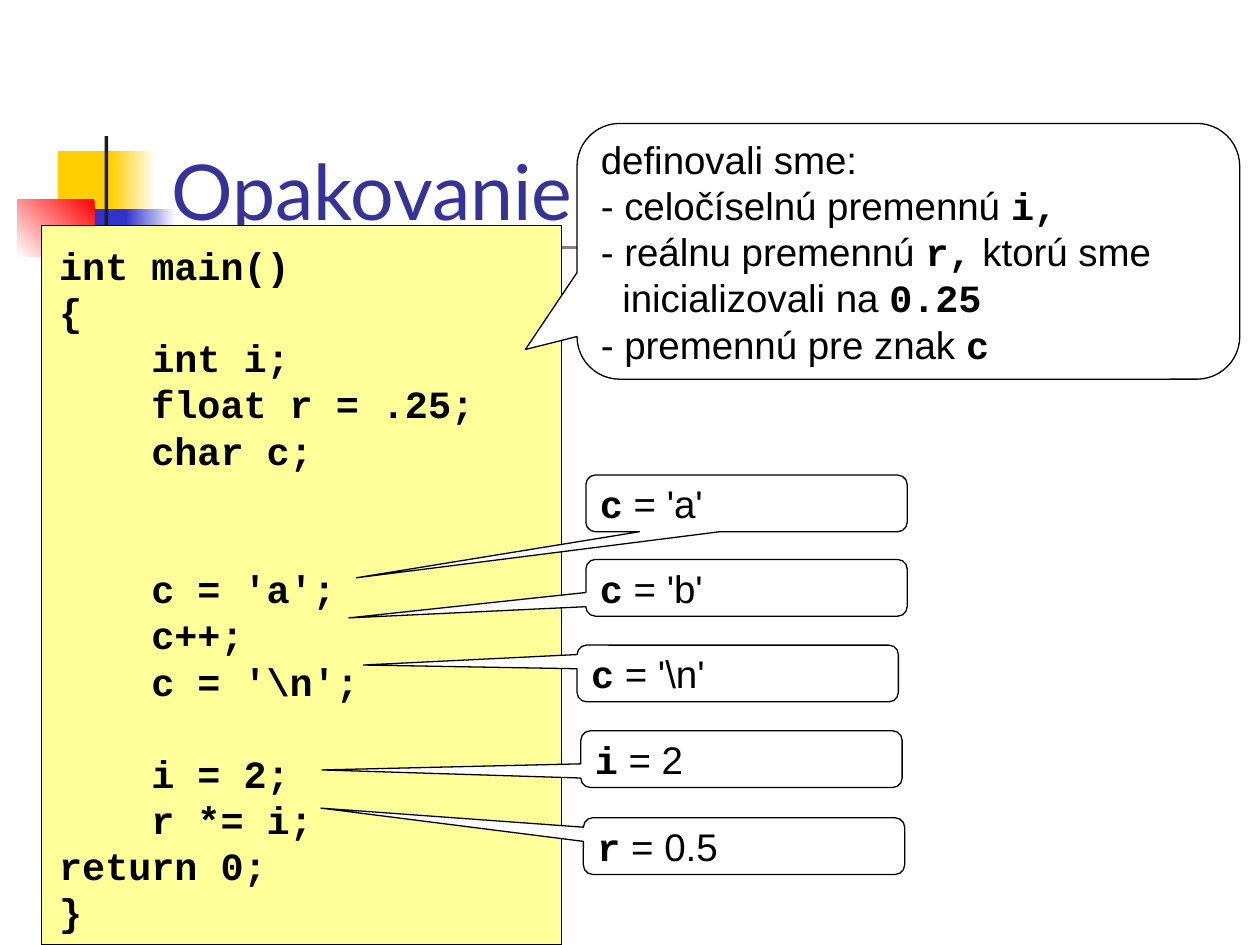
from pptx import Presentation, util as u
from pptx.dml.color import RGBColor
from pptx.enum import shapes, text

deck = Presentation()
deck.slide_width, deck.slide_height = u.Inches(10), u.Inches(7.5)
slide = deck.slides.add_slide(deck.slide_layouts[5])
LINE_PITCH = 26.4
INK, WHITE = "000000", "FFFFFF"


def colour(value):
    return RGBColor.from_string(value)


def write_lines(frame, lines):
    """Each line is (gap in lines, left indent in inches, runs); a run is (words, is code)."""
    frame.word_wrap = True
    frame.margin_left = frame.margin_right = u.Inches(0.09)
    frame.margin_top = frame.margin_bottom = u.Inches(0.05)
    for number, (gap, indent, runs) in enumerate(lines):
        line = frame.paragraphs[0] if number == 0 else frame.add_paragraph()
        line.alignment = text.PP_ALIGN.LEFT
        line.line_spacing = u.Pt(LINE_PITCH)
        if gap:
            line.space_before = u.Pt(gap * LINE_PITCH)
        if indent:
            line._p.get_or_add_pPr().set("marL", str(u.Inches(indent)))
        for words, is_code in runs:
            run = line.add_run()
            run.text = words
            run.font.size = u.Pt(22)
            run.font.name = "Courier New" if is_code else "Arial"
            run.font.bold = is_code
            run.font.color.rgb = colour(INK)


# Corner ornament and title rule: place, start colour, end colour, angle
ornament = [
    ((0.46, 1.2, 0.48, 0.52), "FFCF01", None, None),
    ((0.88, 1.2, 0.36, 0.52), WHITE, "FFCF01", 180),
    ((0.59, 1.66, 0.46, 0.52), "3333CC", None, None),
    ((1, 1.66, 0.4, 0.52), WHITE, "3333CC", 180),
    ((0.14, 1.58, 0.61, 0.46), "FF0000", WHITE, 225),
    ((0.83, 1.08, 0.03, 1.15), "1C1C1C", None, None),
    ((0.48, 1.95, 9, 0.03), WHITE, "1C1C1C", 180),
]
for place, start, end, angle in ornament:
    block = slide.shapes.add_shape(shapes.MSO_SHAPE.RECTANGLE, *map(u.Inches, place))
    block.shadow.inherit = False
    block.line.fill.background()
    if end:
        block.fill.gradient()
        block.fill.gradient_angle = angle
        for stop, shade in zip(block.fill.gradient_stops, (start, end)):
            stop.color.rgb = colour(shade)
    else:
        block.fill.solid()
        block.fill.fore_color.rgb = colour(start)

# Title, in front of the ornament
title = slide.shapes.title
slide.shapes._spTree.append(title._element)
title.left, title.top, title.width, title.height = map(u.Inches, (1.26, 0.67, 8.52, 1.25))
title.text_frame.vertical_anchor = text.MSO_ANCHOR.BOTTOM
heading = title.text_frame.paragraphs[0]
heading.alignment = text.PP_ALIGN.LEFT
heading_run = heading.add_run()
heading_run.text = "Opakovanie"
heading_run.font.size = u.Pt(44)
heading_run.font.name = "Lato"
heading_run.font.color.rgb = colour("333399")

# Code panel
panel = slide.shapes.add_shape(
    shapes.MSO_SHAPE.RECTANGLE, *map(u.Inches, (0.33, 1.79, 4.13, 5.71)))
panel.shadow.inherit = False
panel.fill.solid()
panel.fill.fore_color.rgb = colour("FFFF99")
panel.line.color.rgb = colour(INK)
panel.line.width = u.Pt(0.75)

# Code: blank lines before each line, then the line itself
code = [
    (0, "int main()"), (0, "{"),
    (0, "    int i;"), (0, "    float r = .25;"), (0, "    char c;"),
    (2, "    c = 'a';"), (0, "    c++;"), (0, "    c = '\\n';"),
    (1, "    i = 2;"), (0, "    r *= i;"),
    (0, "return 0;"), (0, "}"),
]
listing = slide.shapes.add_textbox(*map(u.Inches, (0.38, 1.87, 3.6, 5.59)))
write_lines(listing.text_frame, [(gap, 0, [(words, True)]) for gap, words in code])

# Callouts: place, pointer tip, lines
declarations = [
    (0, 0, [("definovali sme:", False)]),
    (0, 0, [("- celočíselnú premennú ", False), ("i,", True)]),
    (0, 0, [("- reálnu premennú ", False), ("r,", True), (" ktorú sme", False)]),
    (0, 0.17, [("inicializovali na ", False), ("0.25", True)]),
    (0, 0, [("- premennú pre znak ", False), ("c", True)]),
]
callouts = [((4.58, 0.98, 5.26, 2.03), (-0.578, 0.384), declarations)]
states = [
    (4.65, 3.77, (-1.214, 1.312), "c", "'a'"),
    (4.65, 4.44, (-1.238, 0.531), "c", "'b'"),
    (4.58, 5.12, (-1.165, -0.149), "c", "'\\n'"),
    (4.61, 5.8, (-1.306, 0.191), "i", "2"),
    (4.63, 6.49, (-1.317, -0.67), "r", "0.5"),
]
for left, top, tip, variable, value in states:
    state_line = (0, 0, [(variable, True), (f" = {value}", False)])
    callouts.append(((left, top, 2.55, 0.45), tip, [state_line]))

for place, tip, lines in callouts:
    callout = slide.shapes.add_shape(
        shapes.MSO_SHAPE.ROUNDED_RECTANGULAR_CALLOUT, *map(u.Inches, place))
    callout.shadow.inherit = False
    for index, share in enumerate((*tip, 0.167)):
        callout.adjustments[index] = share
    callout.fill.solid()
    callout.fill.fore_color.rgb = colour(WHITE)
    callout.line.color.rgb = colour(INK)
    callout.line.width = u.Pt(0.75)
    callout.text_frame.vertical_anchor = text.MSO_ANCHOR.MIDDLE
    write_lines(callout.text_frame, lines)

deck.save("out.pptx")
